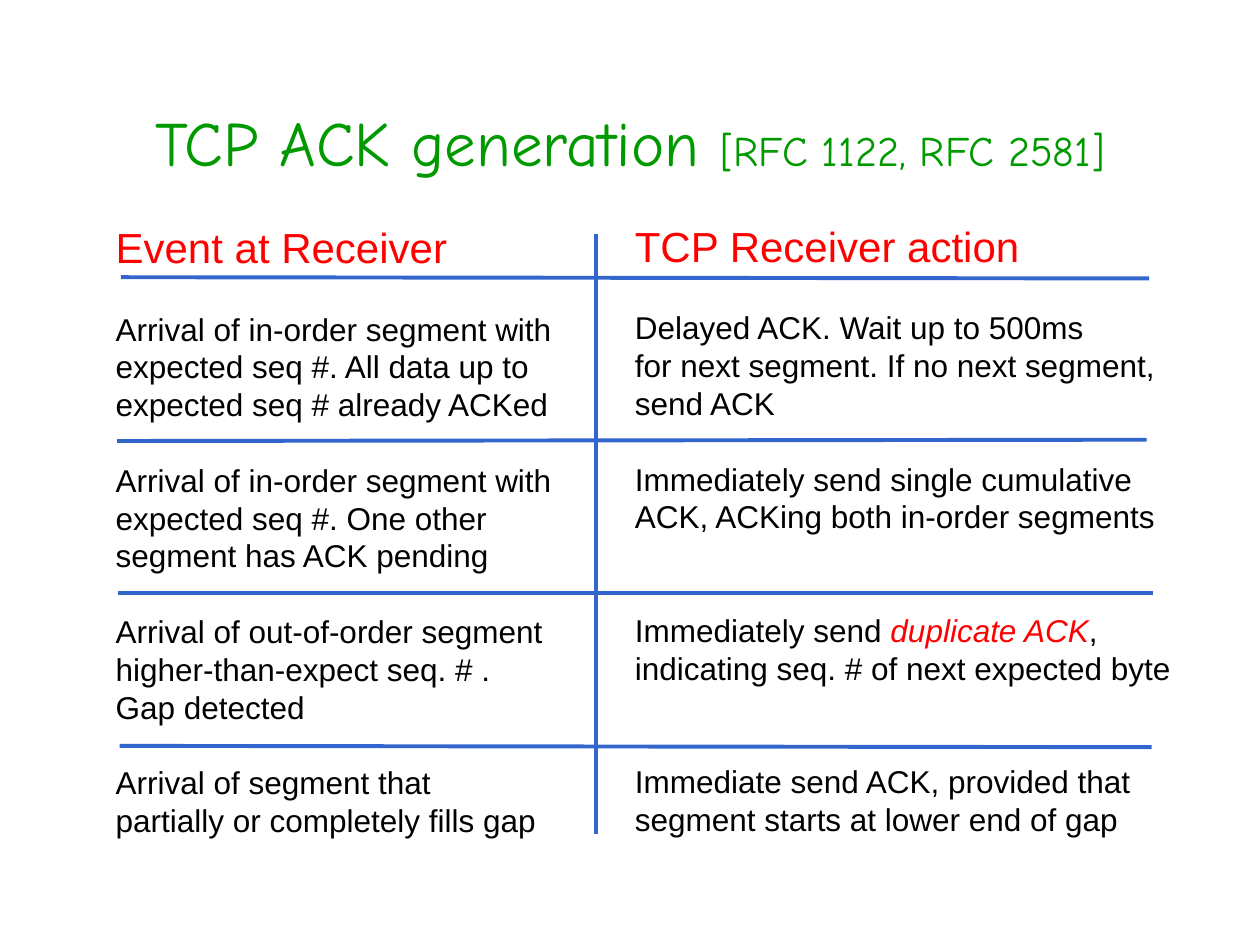
"""Build the slide on how a TCP receiver generates ACKs."""
from lxml.etree import SubElement
from pptx import Presentation
from pptx.dml.color import RGBColor
from pptx.enum.shapes import MSO_CONNECTOR
from pptx.enum.text import MSO_ANCHOR, MSO_AUTO_SIZE, PP_ALIGN
from pptx.oxml.ns import qn
from pptx.util import Inches, Pt

GREEN = RGBColor(0x00, 0x99, 0x00)
RED = RGBColor(0xFF, 0x00, 0x00)
BLACK = RGBColor(0x00, 0x00, 0x00)
BLUE = RGBColor(0x33, 0x66, 0xCC)
LINE_HEIGHT = 21.6
HEADER_HEIGHT = 29.4
ROW_LINES = 4

COLUMNS = [
    (0.82, 1.7, 3.66, "Event at Receiver", [
        ["Arrival of in-order segment with",
         "expected seq #. All data up to",
         "expected seq # already ACKed"],
        ["Arrival of in-order segment with",
         "expected seq #. One other",
         "segment has ACK pending"],
        ["Arrival of out-of-order segment",
         "higher-than-expect seq. # .",
         "Gap detected"],
        ["Arrival of segment that",
         "partially or completely fills gap"],
    ]),
    (4.94, 1.69, 4.45, "TCP Receiver action", [
        ["Delayed ACK. Wait up to 500ms",
         "for next segment. If no next segment,",
         "send ACK"],
        ["Immediately send single cumulative",
         "ACK, ACKing both in-order segments"],
        ["Immediately send *duplicate ACK*,",
         "indicating seq. # of next expected byte"],
        ["Immediate send ACK, provided that",
         "segment starts at lower end of gap"],
    ]),
]
RULES = [
    (0.96, 2.2, 9.12, 2.21),
    (0.93, 3.5, 9.1, 3.49),
    (0.94, 4.71, 9.15, 4.71),
    (0.95, 5.92, 9.14, 5.93),
    (4.73, 1.86, 4.73, 6.62),
]


def write(paragraph, text, size=18, color=BLACK, font="Arial", italic=False):
    run = paragraph.add_run()
    run.text = text
    run.font.size = Pt(size)
    run.font.name = font
    run.font.italic = italic
    run.font.color.rgb = color


presentation = Presentation()
presentation.slide_width = Inches(10)
presentation.slide_height = Inches(7.5)
slide = presentation.slides.add_slide(presentation.slide_layouts[6])

title = slide.shapes.add_textbox(Inches(0.75), Inches(0.5), Inches(8.5), Inches(1.25))
title.text_frame.word_wrap = True
title.text_frame.vertical_anchor = MSO_ANCHOR.MIDDLE
heading = title.text_frame.paragraphs[0]
heading.alignment = PP_ALIGN.CENTER
write(heading, "TCP ACK generation ", size=36, color=GREEN, font="Comic Neue")
write(heading, "[RFC 1122, RFC 2581]", size=24, color=GREEN, font="Comic Neue")

for left, top, width, header, rows in COLUMNS:
    column = slide.shapes.add_textbox(Inches(left), Inches(top), Inches(width), Inches(5.47))
    frame = column.text_frame
    frame.word_wrap = False
    frame.auto_size = MSO_AUTO_SIZE.SHAPE_TO_FIT_TEXT
    paragraph = frame.paragraphs[0]
    paragraph.line_spacing = Pt(HEADER_HEIGHT)
    write(paragraph, header, size=24, color=RED)
    gap = LINE_HEIGHT
    for lines in rows:
        for number, line in enumerate(lines):
            paragraph = frame.add_paragraph()
            paragraph.line_spacing = Pt(LINE_HEIGHT)
            paragraph.space_before = Pt(0 if number else gap)
            for index, piece in enumerate(line.split("*")):
                emphasis = index % 2 == 1
                write(paragraph, piece, color=RED if emphasis else BLACK, italic=emphasis)
        gap = (ROW_LINES - len(lines)) * LINE_HEIGHT

for ends in RULES:
    rule = slide.shapes.add_connector(MSO_CONNECTOR.STRAIGHT, *map(Inches, ends))
    rule.line.color.rgb = BLUE
    rule.line.width = Pt(2.25)
    SubElement(rule._element.spPr, qn("a:effectLst"))

presentation.save("out.pptx")
